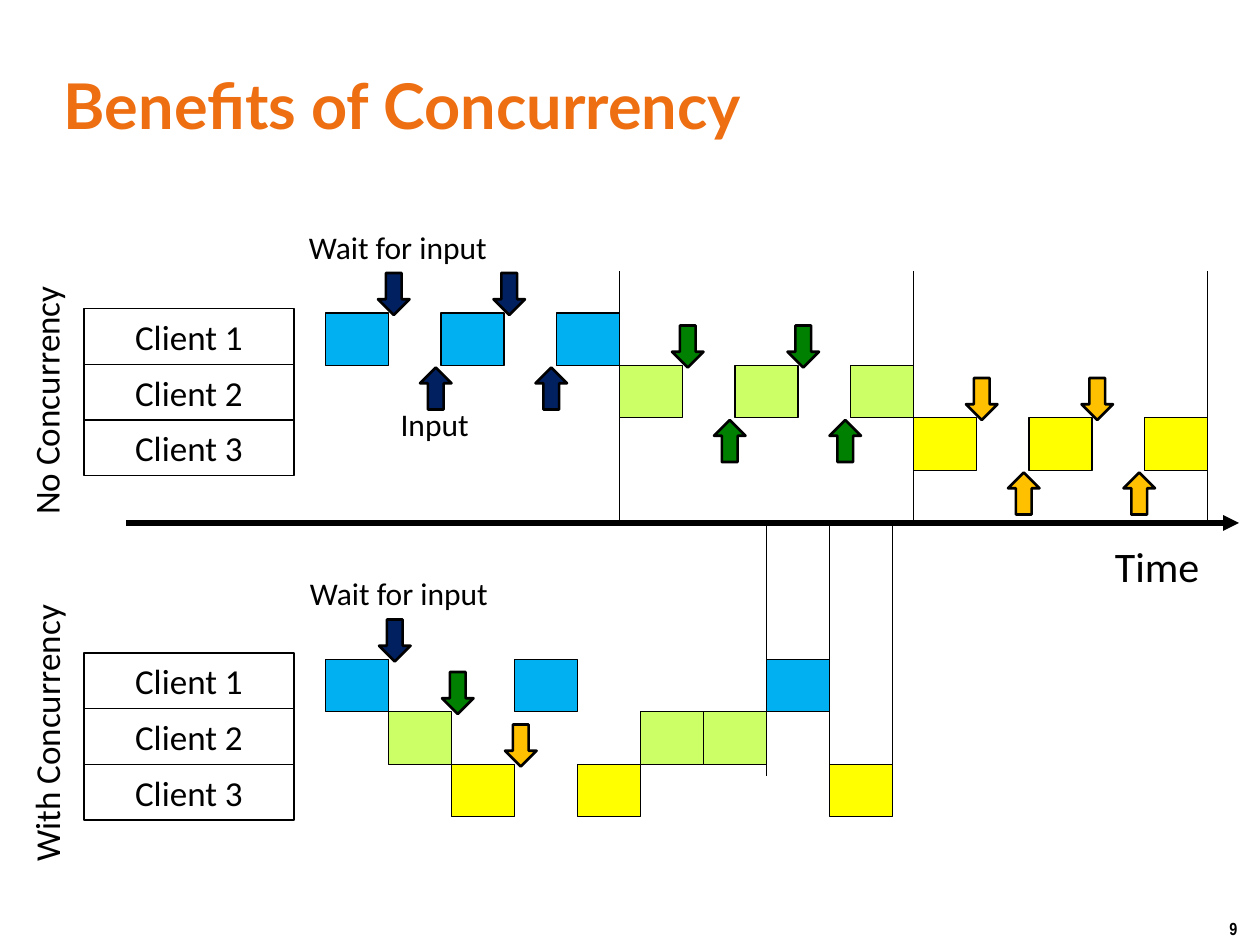
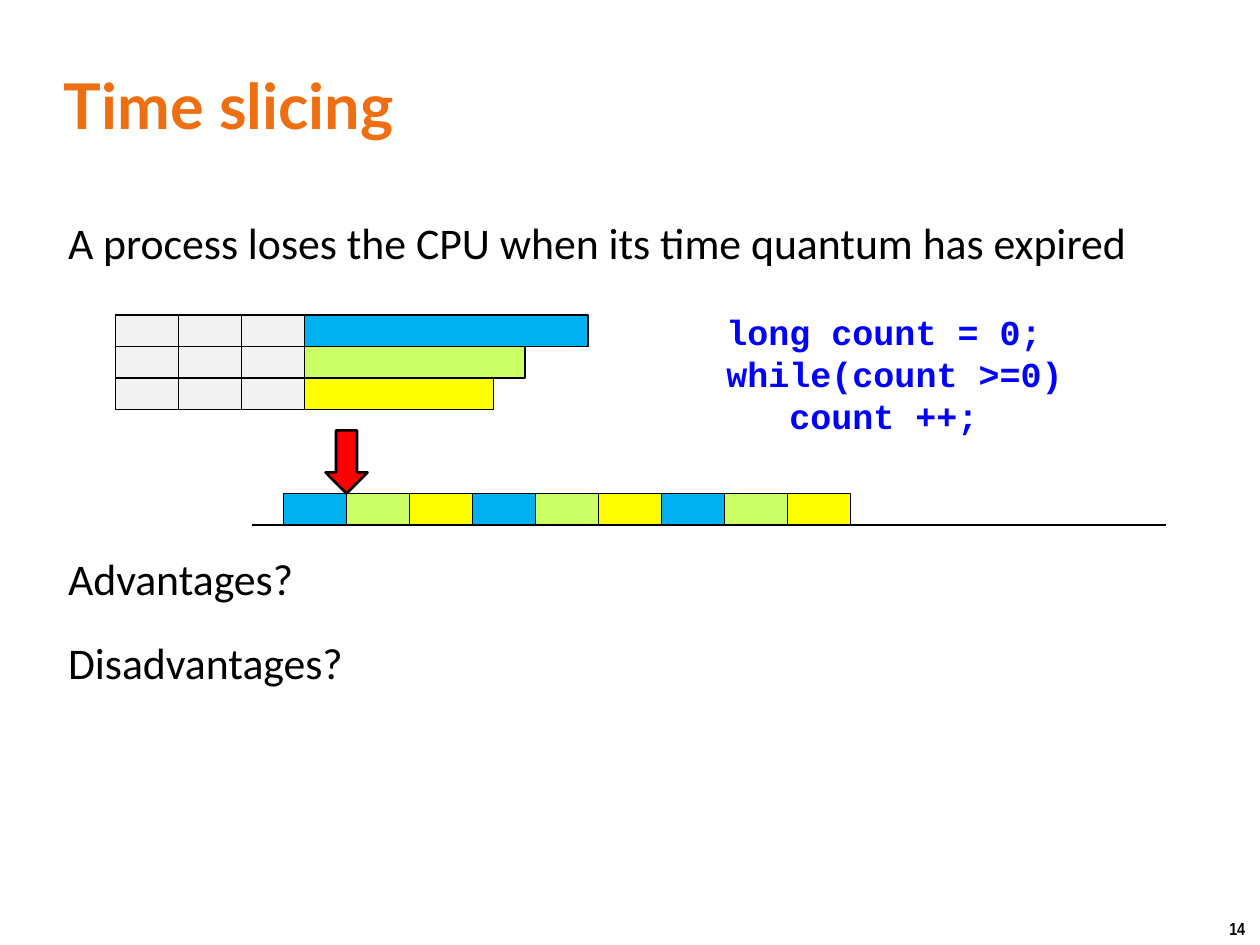
"""Builds two slides on concurrency and time slicing."""
from dataclasses import dataclass

from lxml import etree
from pptx import Presentation
from pptx.dml.color import RGBColor
from pptx.enum.shapes import MSO_CONNECTOR, MSO_SHAPE
from pptx.enum.text import MSO_ANCHOR, PP_ALIGN
from pptx.oxml.ns import qn
from pptx.util import Emu, Pt

RECT = MSO_SHAPE.RECTANGLE
DOWN = MSO_SHAPE.DOWN_ARROW
UP = MSO_SHAPE.UP_ARROW
STRAIGHT = MSO_CONNECTOR.STRAIGHT
LEFT, CENTER = PP_ALIGN.LEFT, PP_ALIGN.CENTER
TOP, MIDDLE = MSO_ANCHOR.TOP, MSO_ANCHOR.MIDDLE
SCALE = 7620
SLOT, ROW = 60, 50


@dataclass(frozen=True)
class Font:
    name: str
    size: int
    color: str = "000000"
    bold: bool = False


@dataclass(frozen=True)
class Theme:
    title: Font = Font("Lato", 36, "EE6E12", True)
    body: Font = Font("Calibri", 25)
    axis: Font = Font("Calibri", 24)
    label: Font = Font("Calibri", 20)
    note: Font = Font("Calibri", 18)
    code: Font = Font("Courier New", 20, "0000FF", True)
    page: Font = Font("Arial Narrow", 10, "000000", True)
    ink: str = "000000"
    spent: str = "F2F2F2"
    alert: str = "FF0000"
    jobs: tuple = ("00B0F0", "CCFF66", "FFFF00")
    waits: tuple = ("002060", "008000", "FFC000")
    thin: float = 0.75
    bold: float = 1.5
    thick: float = 3


THEME = Theme()


def px(*lengths):
    return [Emu(round(length * SCALE)) for length in lengths]


def write(frame, lines, font, align=LEFT):
    for i, line in enumerate(lines):
        para = frame.paragraphs[0] if i == 0 else frame.add_paragraph()
        para.text = line
        para.alignment = align
        para.font.name = font.name
        para.font.size = Pt(font.size)
        para.font.bold = font.bold
        para.font.color.rgb = RGBColor.from_string(font.color)
    return frame.paragraphs


def text(slide, area, lines, font, align=LEFT, wrap=True, anchor=TOP, turn=0):
    box = slide.shapes.add_textbox(*px(*area))
    box.rotation = turn
    box.text_frame.word_wrap = wrap
    box.text_frame.vertical_anchor = anchor
    return write(box.text_frame, lines, font, align)


def label(slide, area, words, font, turn=0):
    text(slide, area, [words], font, CENTER, False, turn=turn)


def shape(slide, kind, area, fill=None, width=THEME.thin):
    item = slide.shapes.add_shape(kind, *px(*area))
    item.shadow.inherit = False
    if fill:
        item.fill.solid()
        item.fill.fore_color.rgb = RGBColor.from_string(fill)
    else:
        item.fill.background()
    item.line.color.rgb = RGBColor.from_string(THEME.ink)
    item.line.width = Pt(width)
    return item


def arrow(slide, kind, x, y, fill, size=(30, 40)):
    shape(slide, kind, (x, y, *size), fill, THEME.bold)


def line(slide, start, end, width=THEME.thin, head=False):
    item = slide.shapes.add_connector(STRAIGHT, *px(*start, *end))
    item.line.color.rgb = RGBColor.from_string(THEME.ink)
    item.line.width = Pt(width)
    if head:
        etree.SubElement(item.line._get_or_add_ln(), qn("a:tailEnd"), type="triangle")
    etree.SubElement(item._element.spPr, qn("a:effectLst"))


def start(deck, title, page):
    slide = deck.slides.add_slide(deck.slide_layouts[6])
    text(slide, (49, 49, 1100, 100), [title], THEME.title, anchor=MIDDLE)
    text(slide, (1159, 868, 41, 32), [page], THEME.page, wrap=False)
    return slide


def clients(slide, top):
    for i in range(3):
        box = shape(slide, RECT, (80, top + 53 * i, 200, 53))
        write(box.text_frame, [f"Client {i + 1}"], THEME.label, CENTER)


def serial(slide):
    for i, (job, wait) in enumerate(zip(THEME.jobs, THEME.waits)):
        x, y = 310 + 280 * i, 298 + ROW * i
        for k in range(3):
            shape(slide, RECT, (x + 110 * k, y, SLOT, ROW), job)
        for k in range(2):
            arrow(slide, DOWN, x + 50 + 110 * k, y - 38, wait)
            arrow(slide, UP, x + 90 + 110 * k, y + 52, wait)
        line(slide, (x + 280, 258), (x + 280, 498))


def shared(slide):
    turns = ((0, 3, 7), (1, 5, 6), (2, 4, 8))
    for i, slots in enumerate(turns):
        for k in slots:
            shape(slide, RECT, (310 + SLOT * k, 628 + ROW * i, SLOT, ROW), THEME.jobs[i])
        arrow(slide, DOWN, 361 + SLOT * i, 590 + ROW * i, THEME.waits[i])
        x = 730 + SLOT * i
        line(slide, (x, 499), (x, 739))


def benefits(deck):
    slide = start(deck, "Benefits of Concurrency", "9")
    clients(slide, 294)
    clients(slide, 622)
    serial(slide)
    shared(slide)
    line(slide, (120, 498), (1180, 498), THEME.thick, True)
    label(slide, (1048, 509, 108, 60), "Time", THEME.axis)
    for x, y in ((278, 211), (279, 541)):
        label(slide, (x, y, 202, 48), "Wait for input", THEME.note)
    label(slide, (368, 380, 92, 48), "Input", THEME.note)
    label(slide, (-85, 355, 258, 53), "No Concurrency", THEME.label, 270)
    label(slide, (-97, 672, 283, 53), "With Concurrency", THEME.label, 270)


def slicing(deck):
    slide = start(deck, "Time slicing", "14")
    points = ("A process loses the CPU when its time quantum has expired",
              "Advantages?", "Disadvantages?")
    body = text(slide, (53, 200, 1100, 650), points, THEME.body)
    for para, gap in zip(body, (0, 162, 18)):
        para.space_before = Pt(gap)

    for i, (job, width) in enumerate(zip(THEME.jobs, (450, 390, 360))):
        y = 300 + 30 * i
        shape(slide, RECT, (110, y, width, 30), job)
        for k in range(3):
            shape(slide, RECT, (110 + SLOT * k, y, SLOT, 30), THEME.spent)

    line(slide, (240, 500), (1110, 500), THEME.bold)
    for k, job in enumerate(THEME.jobs * 3):
        shape(slide, RECT, (270 + SLOT * k, 470, SLOT, 30), job)
    arrow(slide, DOWN, 310, 410, THEME.alert, (40, 60))

    code = text(slide, (680, 290, 430, 133),
                ("long count = 0;", "while(count >=0)", "count ++;"), THEME.code)
    for para in code:
        para.line_spacing = Pt(24)
    code[-1]._p.get_or_add_pPr().set("marL", str(Pt(36)))


def main():
    deck = Presentation()
    deck.slide_width, deck.slide_height = px(1200, 900)
    benefits(deck)
    slicing(deck)
    deck.save("out.pptx")


if __name__ == "__main__":
    main()
